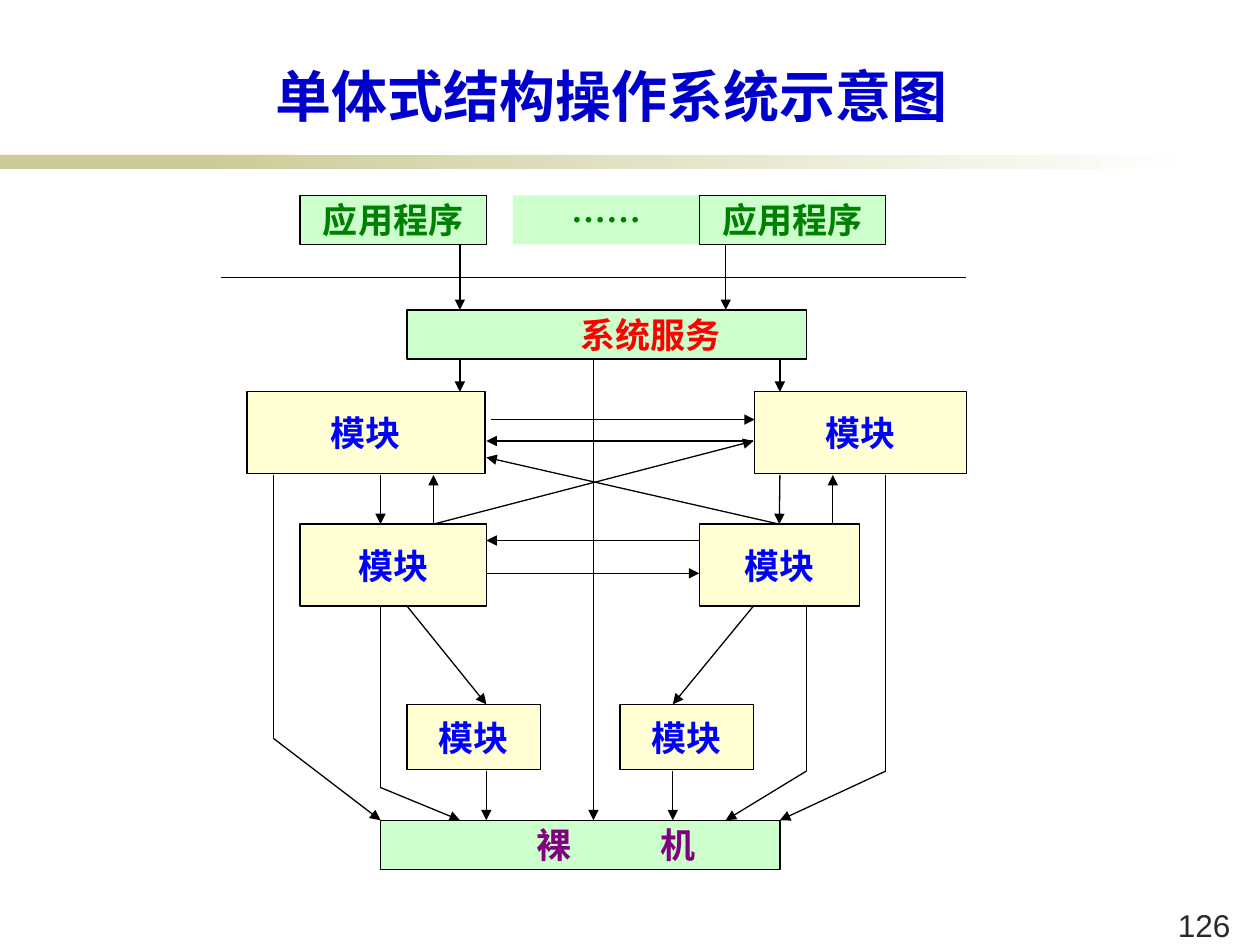
from dataclasses import dataclass
from itertools import pairwise

from lxml import etree
from pptx import Presentation
from pptx.dml.color import RGBColor
from pptx.enum.shapes import MSO_CONNECTOR, MSO_SHAPE
from pptx.enum.text import MSO_ANCHOR, PP_ALIGN
from pptx.oxml.ns import qn
from pptx.util import Inches, Pt

RECTANGLE = MSO_SHAPE.RECTANGLE
STRAIGHT = MSO_CONNECTOR.STRAIGHT
MIDDLE, TOP = MSO_ANCHOR.MIDDLE, MSO_ANCHOR.TOP
LEFT, CENTER = PP_ALIGN.LEFT, PP_ALIGN.CENTER

CJK = "Noto Sans CJK JP"
MINT, CREAM, KHAKI, BLACK = "CCFFCC", "FFFFD3", "CCCC99", "000000"
GREEN, RED, BLUE, PURPLE = "008000", "FF0000", "0000FF", "800080"

APP_TOP, SERVICE_TOP, UPPER_TOP, MIDDLE_TOP = 1.55, 2.46, 3.11, 4.16
LOWER_TOP, MACHINE_TOP = 5.59, 6.51
BAR, MODULE, SMALL = 0.39, 0.65, 0.52
APP_END, SERVICE_END = APP_TOP + BAR, SERVICE_TOP + BAR
UPPER_END, MIDDLE_END = 3.77, MIDDLE_TOP + MODULE
LOWER_END = 6.12

Point = tuple[float, float]


@dataclass(frozen=True)
class Block:
    """A labelled rectangle; an indent makes its text left-aligned."""
    left: float
    top: float
    width: float
    height: float
    label: str
    color: str
    fill: str = MINT
    outlined: bool = True
    indent: float = 0


def module(left: float, top: float, width: float, height: float) -> Block:
    """Describe a kernel module."""
    return Block(left, top, width, height, "模块", BLUE, CREAM)


RIGHT_MIDDLE = module(5.55, MIDDLE_TOP, 1.27, MODULE)
BLOCKS = [
    Block(2.38, APP_TOP, 1.48, BAR, "应用程序", GREEN),
    Block(4.07, APP_TOP, 1.48, BAR, "……", GREEN, outlined=False),
    Block(5.55, APP_TOP, 1.48, BAR, "应用程序", GREEN),
    Block(3.23, SERVICE_TOP, 3.17, BAR, "系统服务", RED, indent=1.38),
    module(1.96, UPPER_TOP, 1.89, MODULE),
    module(5.99, UPPER_TOP, 1.68, MODULE),
    module(2.38, MIDDLE_TOP, 1.48, MODULE),
    RIGHT_MIDDLE,
    module(3.23, LOWER_TOP, 1.06, SMALL),
    module(4.92, LOWER_TOP, 1.06, SMALL),
    Block(3.02, MACHINE_TOP, 3.17, BAR, "裸\t机", PURPLE, indent=1.24),
]

VERTICAL_CALLS = [
    (3.65, APP_END, SERVICE_TOP), (5.76, APP_END, SERVICE_TOP),
    (3.65, SERVICE_END, UPPER_TOP), (6.19, SERVICE_END, UPPER_TOP),
    (4.71, SERVICE_END, MACHINE_TOP),
    (3.02, UPPER_END, MIDDLE_TOP),
    (3.44, MIDDLE_TOP, UPPER_END), (6.61, MIDDLE_TOP, UPPER_END),
    (3.86, LOWER_END, MACHINE_TOP), (5.34, LOWER_END, MACHINE_TOP),
]
ROUTES: list[list[Point]] = [
    *([(x, start), (x, end)] for x, start, end in VERTICAL_CALLS),
    [(3.9, 3.33), (5.99, 3.33)],
    [(5.98, 3.5), (3.86, 3.5)],
    [(5.55, 4.29), (3.86, 4.29)],
    [(3.86, 4.55), (5.55, 4.55)],
    [(3.44, MIDDLE_TOP), (5.98, 3.5)],
    [(3.23, MIDDLE_END), (3.86, LOWER_TOP)],
    [(5.98, MIDDLE_END), (5.34, LOWER_TOP)],
    [(2.17, UPPER_END), (2.17, 5.86), (3.02, MACHINE_TOP)],
    [(3.02, MIDDLE_END), (3.02, 6.25), (3.65, MACHINE_TOP)],
    [(6.4, MIDDLE_END), (6.4, LOWER_END), (5.76, MACHINE_TOP)],
    [(7.03, UPPER_END), (7.03, LOWER_END), (6.19, MACHINE_TOP)],
]


def rgb(value: str) -> RGBColor:
    """Turn a hex string into a colour."""
    return RGBColor.from_string(value)


def write(box, text: str, size: float, color: str, font: str = CJK,
          bold: bool = True, align=CENTER, anchor=MIDDLE, tab: float = 0) -> None:
    """Fill a shape with one formatted paragraph."""
    frame = box.text_frame
    frame.text = text
    frame.word_wrap = True
    frame.vertical_anchor = anchor
    para = frame.paragraphs[0]
    para.alignment = align
    if tab:
        tabs = etree.SubElement(para._p.get_or_add_pPr(), qn("a:tabLst"))
        etree.SubElement(tabs, qn("a:tab"), pos=str(Inches(tab)), algn="l")
    for span in para.runs:
        span.font.size = Pt(size)
        span.font.bold = bold
        span.font.name = font
        span.font.color.rgb = rgb(color)
        etree.SubElement(span._r.get_or_add_rPr(), qn("a:ea"), typeface=font)


def add_rectangle(page, left: float, top: float, width: float, height: float):
    """Add a rectangle without shadow or outline."""
    box = page.shapes.add_shape(
        RECTANGLE, Inches(left), Inches(top), Inches(width), Inches(height))
    box.shadow.inherit = False
    box.line.fill.background()
    return box


def add_block(page, block: Block):
    """Draw one labelled block."""
    box = add_rectangle(page, block.left, block.top, block.width, block.height)
    box.fill.solid()
    box.fill.fore_color.rgb = rgb(block.fill)
    if block.outlined:
        box.line.color.rgb = rgb(BLACK)
        box.line.width = Pt(0.75)
    align = LEFT if block.indent else CENTER
    tab = 0.98 if "\t" in block.label else 0
    write(box, block.label, 20, block.color, align=align, tab=tab)
    if block.indent:
        box.text_frame.margin_left = Inches(block.indent)
    return box


def add_line(page, start: Point, end: Point, arrow: bool = True):
    """Draw a thin straight line, with an arrowhead at its end by default."""
    line = page.shapes.add_connector(STRAIGHT, *map(Inches, start + end))
    line.line.color.rgb = rgb(BLACK)
    line.line.width = Pt(0.75)
    if arrow:
        etree.SubElement(line.line._get_or_add_ln(), qn("a:tailEnd"), type="triangle")
    etree.SubElement(line._element.spPr, qn("a:effectLst"))
    return line


def add_route(page, points: list[Point]) -> None:
    """Draw a chain of lines whose last piece carries the arrowhead."""
    for start, end in pairwise(points):
        add_line(page, start, end, end == points[-1])


def add_text(page, left: float, top: float, width: float, height: float):
    """Add an empty text box."""
    return page.shapes.add_textbox(
        Inches(left), Inches(top), Inches(width), Inches(height))


def add_title_band(page) -> None:
    """Draw the band that fades out below the title."""
    solid = add_rectangle(page, 0, 1.23, 2.33, 0.11)
    solid.fill.solid()
    solid.fill.fore_color.rgb = rgb(KHAKI)
    fading = add_rectangle(page, 1.58, 1.23, 7.92, 0.11)
    fading.fill.gradient()
    fading.fill.gradient_angle = 0
    for stop, color in zip(fading.fill.gradient_stops, (KHAKI, "FFFFFF")):
        stop.color.rgb = rgb(color)


def main() -> None:
    """Build the slide and save it."""
    deck = Presentation()
    deck.slide_width, deck.slide_height = Inches(10), Inches(7.5)
    page = deck.slides.add_slide(deck.slide_layouts[6])
    add_title_band(page)
    boxes = {block: add_block(page, block) for block in BLOCKS}
    add_line(page, (1.75, 2.2), (7.67, 2.2), arrow=False)
    for points in ROUTES:
        add_route(page, points)
    called = add_line(page, (6.19, UPPER_END), (6.19, MIDDLE_TOP))
    called.end_connect(boxes[RIGHT_MIDDLE], 0)
    crossing = add_line(page, (6.19, MIDDLE_TOP), (3.86, 3.63))
    crossing.begin_connect(boxes[RIGHT_MIDDLE], 0)
    title = add_text(page, 0.83, 0.44, 8.05, 0.63)
    write(title, "单体式结构操作系统示意图", 32, "0000CC")
    number = add_text(page, 9.25, 7.14, 0.63, 0.33)
    write(number, "126", 18, "292929", "Arial", False, LEFT, TOP)
    deck.save("out.pptx")


if __name__ == "__main__":
    main()
